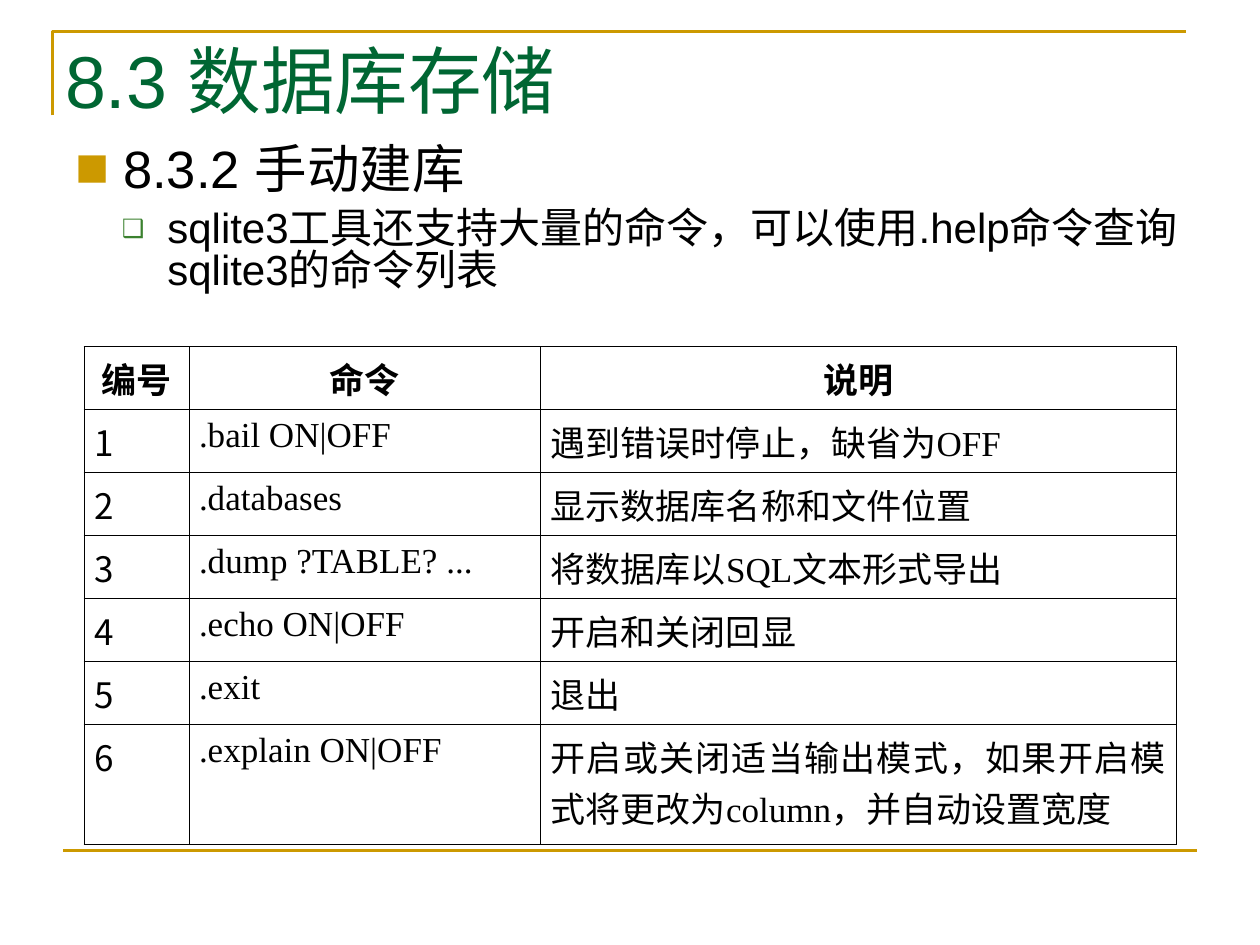
from lxml import etree
from pptx import Presentation
from pptx.dml.color import RGBColor
from pptx.enum.shapes import MSO_CONNECTOR
from pptx.enum.text import MSO_ANCHOR, PP_ALIGN
from pptx.oxml.ns import qn
from pptx.util import Inches, Pt

LEFT, CENTER, JUSTIFY = PP_ALIGN.LEFT, PP_ALIGN.CENTER, PP_ALIGN.JUSTIFY
TOP, MIDDLE = MSO_ANCHOR.TOP, MSO_ANCHOR.MIDDLE
STRAIGHT = MSO_CONNECTOR.STRAIGHT

SANS, SERIF, CJK = "Arial", "Times New Roman", "Noto Sans CJK SC"
GOLD, GREEN, LEAF, BLACK = "CC9900", "006633", "3B812F", "000000"

COLUMNS = (10, 33.5, 60.5)
ROWS = (6, 6, 6, 6, 6, 6, 11.4)
HEADER = ("编号", "命令", "说明")
COMMANDS = (
    (".bail ON|OFF", "遇到错误时停止，缺省为OFF"),
    (".databases", "显示数据库名称和文件位置"),
    (".dump ?TABLE? ...", "将数据库以SQL文本形式导出"),
    (".echo ON|OFF", "开启和关闭回显"),
    (".exit", "退出"),
    (".explain ON|OFF", "开启或关闭适当输出模式，如果开启模式将更改为column，并自动设置宽度"),
)


def grid(n):
    """Length of n grid units, twelve to the inch."""
    return Inches(n / 12)


def color(hex_string):
    return RGBColor.from_string(hex_string)


def add_text(p, text, size, font=SANS, fill=BLACK, bold=False, align=LEFT):
    p.alignment = align
    r = p.add_run()
    r.text = text
    r.font.size, r.font.name, r.font.bold = Pt(size), font, bold
    r.font.color.rgb = color(fill)
    etree.SubElement(r.font._element, qn("a:ea"), typeface=CJK)


def add_bullet(p, char, fill, percent, margin, indent):
    pPr = p._p.get_or_add_pPr()
    pPr.set("marL", str(Inches(margin)))
    pPr.set("indent", str(Inches(-indent)))
    bu = etree.SubElement(pPr, qn("a:buClr"))
    etree.SubElement(bu, qn("a:srgbClr"), val=fill)
    etree.SubElement(pPr, qn("a:buSzPct"), val=str(percent * 1000))
    etree.SubElement(pPr, qn("a:buFont"), typeface=CJK)
    etree.SubElement(pPr, qn("a:buChar"), char=char)


def style_rule(sp):
    sp.line.color.rgb = color(GOLD)
    sp.line.width = Pt(1.5)


def add_frame(slide, x, y, w, corner, bottom):
    """Corner rule around the title and a rule under the content."""
    builder = slide.shapes.build_freeform(grid(x), grid(y + corner))
    builder.add_line_segments(
        [(grid(x), grid(y)), (grid(x + w), grid(y))], close=False)
    sp = builder.convert_to_shape()
    sp.shadow.inherit = False
    sp.fill.background()
    style_rule(sp)
    line = slide.shapes.add_connector(
        STRAIGHT, grid(x + 1), grid(bottom), grid(x + 1 + w), grid(bottom))
    etree.SubElement(line._element.spPr, qn("a:effectLst"))
    style_rule(line)


def fill_title(slide, x, y, w, h):
    sp = slide.shapes.title
    sp.left, sp.top, sp.width, sp.height = map(grid, (x, y, w, h))
    tf = sp.text_frame
    tf.vertical_anchor, tf.word_wrap = MIDDLE, True
    p = tf.paragraphs[0]
    add_text(p, "8.3 ", 42, fill=GREEN)
    add_text(p, "数据库存储", 42, font=CJK, fill=GREEN)


def add_body(slide, x, y, w, h):
    tf = slide.shapes.add_textbox(*map(grid, (x, y, w, h))).text_frame
    tf.word_wrap = True
    p = tf.paragraphs[0]
    p.line_spacing = 0.9
    add_bullet(p, "■", GOLD, 65, 0.38, 0.38)
    add_text(p, "8.3.2 手动建库", 30)
    p = tf.add_paragraph()
    p.level, p.line_spacing, p.space_before = 1, 0.83, Pt(6)
    add_bullet(p, "❑", LEAF, 60, 0.73, 0.36)
    add_text(p, "sqlite3工具还支持大量的命令，可以使用.help命令查询sqlite3的命令列表", 24)


def set_borders(cell):
    tcPr = cell._tc.get_or_add_tcPr()
    for i, side in enumerate(("lnL", "lnR", "lnT", "lnB")):
        ln = etree.Element(qn("a:" + side), w=str(Pt(0.45)))
        fill = etree.SubElement(ln, qn("a:solidFill"))
        etree.SubElement(fill, qn("a:srgbClr"), val=BLACK)
        tcPr.insert(i, ln)


def fill_cell(cell, text, **style):
    cell.fill.background()
    cell.vertical_anchor = TOP
    cell.margin_left = cell.margin_right = Inches(0.08)
    cell.margin_top = cell.margin_bottom = Inches(0.05)
    set_borders(cell)
    add_text(cell.text_frame.paragraphs[0], text, 20, **style)


def add_command_table(slide, x, y):
    table = slide.shapes.add_table(
        len(ROWS), len(COLUMNS), grid(x), grid(y),
        grid(sum(COLUMNS)), grid(sum(ROWS))).table
    table.horz_banding = False
    for column, width in zip(table.columns, COLUMNS):
        column.width = grid(width)
    for row, height in zip(table.rows, ROWS):
        row.height = grid(height)
    for c, text in enumerate(HEADER):
        fill_cell(table.cell(0, c), text, font=SERIF, bold=True, align=CENTER)
    for i, command in enumerate(COMMANDS, 1):
        for c, text in enumerate((str(i), *command)):
            fill_cell(table.cell(i, c), text,
                      font=SERIF if c else CJK, align=JUSTIFY)


def main():
    prs = Presentation()
    prs.slide_width, prs.slide_height = grid(120), grid(90)
    slide = prs.slides.add_slide(prs.slide_layouts.get_by_name("Title Only"))
    add_frame(slide, 5, 3, 108, corner=8, bottom=81)
    fill_title(slide, 5, 3, 65, 9)
    add_body(slide, 6, 13, 108, 68)
    add_command_table(slide, 8, 33)
    prs.save("out.pptx")


if __name__ == "__main__":
    main()
